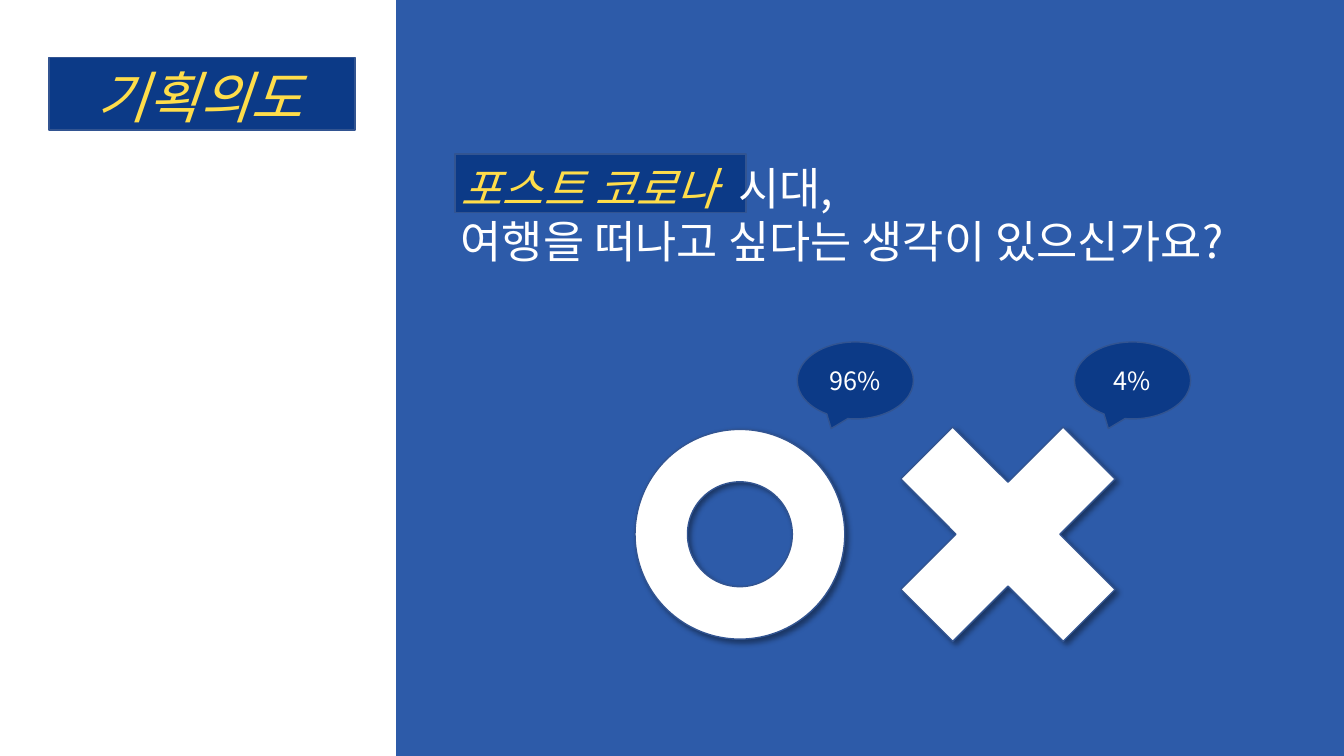
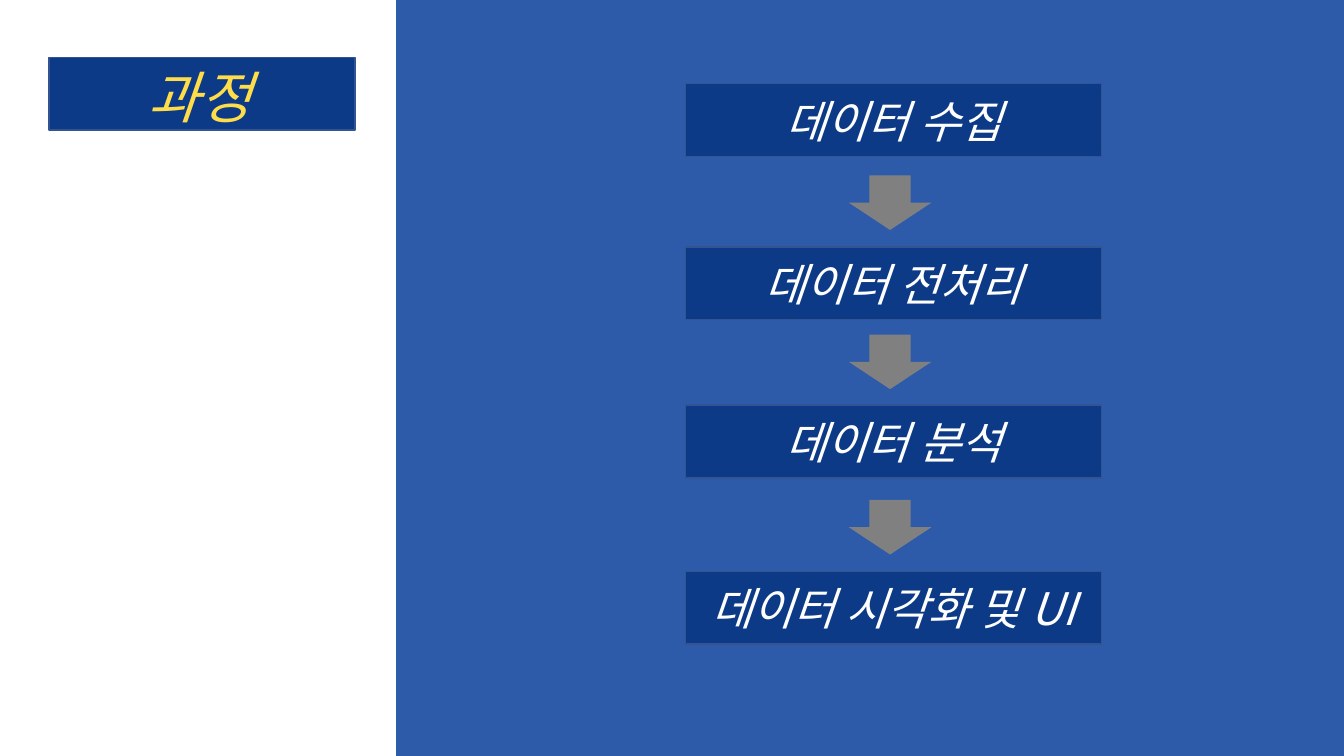
from lxml.etree import SubElement
from pptx import Presentation
from pptx.dml.color import RGBColor
from pptx.enum.shapes import MSO_SHAPE as Preset
from pptx.enum.text import MSO_ANCHOR as Anchor, PP_ALIGN as Align
from pptx.oxml.ns import qn
from pptx.util import Pt

FONT = "Noto Sans CJK KR"
PANEL, NAVY, EDGE = "2D5BA9", "0C3A87", "325491"
YELLOW, WHITE, GRAY, BLACK = "FFDD4A", "FFFFFF", "808080", "000000"

INTENT_TITLE = "기획의도"
QUESTION = [
    [("포스트 코로나", {"color": YELLOW, "italic": True}),
     (" ", {"spacing": 7}),
     ("시대,", {})],
    [("여행을 떠나고 싶다는 생각이 있으신가요?", {})],
]
ANSWER_MARKS = [
    (Preset.MATH_MULTIPLY, (608.4, 270, 223.2, 223.2)),
    (Preset.DONUT, (453.6, 306.7, 149.8, 149.8)),
]
ANSWER_SHARES = [("96%", 569.5), ("4%", 767.5)]

PROCESS_TITLE = "과정"
STEPS = [
    ("데이터 수집", 59.8),
    ("데이터 전처리", 176.4),
    ("데이터 분석", 289.4),
    ("데이터 시각화 및 UI", 408.2),
]
ARROW_TOPS = [125.3, 239, 357.1]


def rgb(color):
    return RGBColor.from_string(color)


def add_run(paragraph, text, size=32, color=WHITE, italic=False, spacing=0):
    """Add text; spacing is extra space after each character, in points."""
    run = paragraph.add_run()
    run.text = text
    run.font.size = Pt(size)
    run.font.italic = italic
    run.font.name = FONT
    run.font.color.rgb = rgb(color)
    properties = run.font._element
    SubElement(properties, qn("a:ea"), typeface=FONT)
    if spacing:
        properties.set("spc", str(spacing * 100))


def add_shape(slide, preset, box, fill, edge=None):
    shape = slide.shapes.add_shape(preset, *map(Pt, box))
    shape.shadow.inherit = False
    shape.fill.solid()
    shape.fill.fore_color.rgb = rgb(fill)
    if edge:
        shape.line.color.rgb = rgb(edge)
        shape.line.width = Pt(1)
    else:
        shape.line.fill.background()
    return shape


def add_label(shape, text, anchor=Anchor.MIDDLE, **text_format):
    frame = shape.text_frame
    frame.word_wrap = True
    frame.vertical_anchor = anchor
    paragraph = frame.paragraphs[0]
    paragraph.alignment = Align.CENTER
    add_run(paragraph, text, **text_format)


def add_drop_shadow(shape):
    effects = shape._element.spPr.find(qn("a:effectLst"))
    shadow = SubElement(effects, qn("a:outerShdw"), blurRad=str(Pt(4)),
                        dist=str(Pt(3)), dir="2700000", algn="tl", rotWithShape="0")
    color = SubElement(shadow, qn("a:srgbClr"), val=BLACK)
    SubElement(color, qn("a:alpha"), val="40000")


def add_titled_slide(presentation, title):
    """Add a slide with the blue panel on the right and the title band."""
    slide = presentation.slides.add_slide(presentation.slide_layouts[6])
    add_shape(slide, Preset.RECTANGLE, (283, 0, 677, 540), PANEL)
    band = add_shape(slide, Preset.RECTANGLE, (35, 41, 218.5, 52), NAVY, EDGE)
    band.text_frame.margin_right = Pt(10.8)
    add_label(band, title, anchor=Anchor.TOP, size=40, color=YELLOW, italic=True)
    return slide


def add_question(slide):
    add_shape(slide, Preset.RECTANGLE, (325, 110, 208, 42), NAVY, EDGE)
    text_box = slide.shapes.add_textbox(Pt(322), Pt(111), Pt(626), Pt(85))
    frame = text_box.text_frame
    frame.word_wrap = True
    for index, runs in enumerate(QUESTION):
        paragraph = frame.add_paragraph() if index else frame.paragraphs[0]
        for text, text_format in runs:
            add_run(paragraph, text, **text_format)


def build_intent(presentation):
    slide = add_titled_slide(presentation, INTENT_TITLE)
    for preset, box in ANSWER_MARKS:
        add_drop_shadow(add_shape(slide, preset, box, WHITE, EDGE))
    for share, left in ANSWER_SHARES:
        callout = add_shape(slide, Preset.OVAL_CALLOUT, (left, 244.3, 83, 55), NAVY, EDGE)
        add_label(callout, share, size=18)
    add_question(slide)


def build_process(presentation):
    slide = add_titled_slide(presentation, PROCESS_TITLE)
    for text, top in STEPS:
        step = add_shape(slide, Preset.RECTANGLE, (489.6, top, 297.4, 52), NAVY, EDGE)
        add_label(step, text, italic=True)
    for top in ARROW_TOPS:
        add_shape(slide, Preset.DOWN_ARROW, (606.3, top, 59, 39), GRAY)


def main():
    presentation = Presentation()
    presentation.slide_width, presentation.slide_height = Pt(960), Pt(540)
    build_intent(presentation)
    build_process(presentation)
    presentation.save("out.pptx")


if __name__ == "__main__":
    main()
